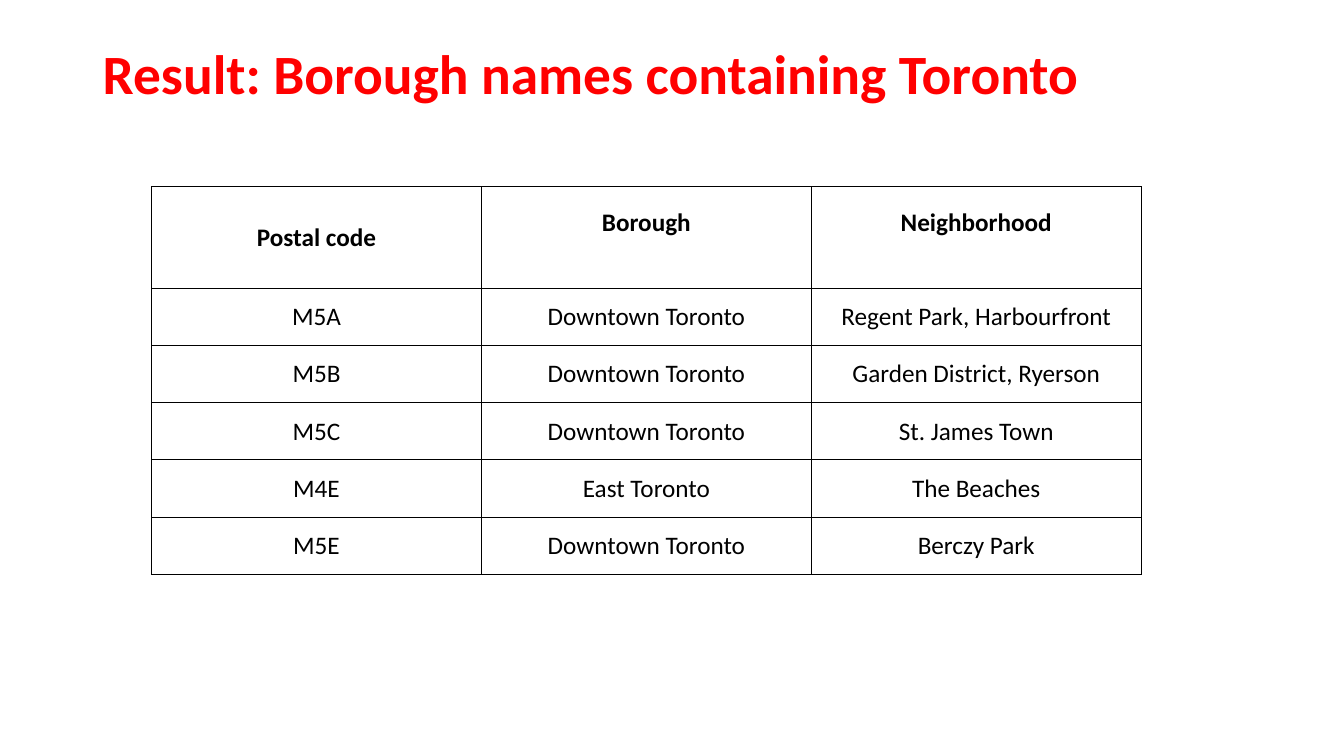
import pptx
import pptx.dml.color
import pptx.enum.text
import pptx.oxml
import pptx.oxml.ns
import pptx.util
from pptx.util import Cm, Pt

RED = pptx.dml.color.RGBColor(0xFF, 0x00, 0x00)
BLACK = pptx.dml.color.RGBColor(0x00, 0x00, 0x00)
FONT = "Calibri"
MIDDLE = pptx.enum.text.MSO_ANCHOR.MIDDLE

HEADINGS = ("Postal code", "Borough", "Neighborhood")
BOROUGHS = (
    ("M5A", "Downtown Toronto", "Regent Park, Harbourfront"),
    ("M5B", "Downtown Toronto", "Garden District, Ryerson"),
    ("M5C", "Downtown Toronto", "St. James Town"),
    ("M4E", "East Toronto", "The Beaches"),
    ("M5E", "Downtown Toronto", "Berczy Park"),
)


def add_run(paragraph, wording, size, color, bold):
    run = paragraph.add_run()
    run.text = wording
    run.font.name = FONT
    run.font.size = Pt(size)
    run.font.bold = bold
    run.font.color.rgb = color


def add_heading(slide, left, top, width, height):
    heading = slide.shapes.add_textbox(left, top, width, height).text_frame
    heading.word_wrap = True
    heading.vertical_anchor = MIDDLE
    heading.paragraphs[0].line_spacing = 0.9
    add_run(heading.paragraphs[0], "Result: Borough names containing Toronto", 39.6, RED, True)


def add_borders(cell):
    properties = cell._tc.get_or_add_tcPr()
    for position, side in enumerate(("lnL", "lnR", "lnT", "lnB")):
        border = pptx.oxml.parse_xml(
            f'<a:{side} {pptx.oxml.ns.nsdecls("a")} w="{Pt(0.75)}">'
            f'<a:solidFill><a:srgbClr val="{BLACK}"/></a:solidFill></a:{side}>'
        )
        properties.insert(position, border)


def fill_cell(cell, wording, bold, bottom_margin):
    cell.fill.background()
    cell.vertical_anchor = MIDDLE
    cell.margin_left = cell.margin_right = cell.margin_top = Cm(0.1)
    cell.margin_bottom = bottom_margin
    paragraph = cell.text_frame.paragraphs[0]
    paragraph.alignment = pptx.enum.text.PP_ALIGN.CENTER
    add_run(paragraph, wording, 18, BLACK, bold)
    add_borders(cell)


def add_borough_table(slide, left, top, width, height):
    rows = (HEADINGS, *BOROUGHS)
    table = slide.shapes.add_table(len(rows), len(HEADINGS), left, top, width, height).table
    table.horz_banding = False
    borough_height = Cm(1.44)
    for row in table.rows:
        row.height = borough_height
    table.rows[0].height = height - borough_height * len(BOROUGHS)
    for r, row in enumerate(rows):
        for c, wording in enumerate(row):
            raised = r == 0 and c > 0
            fill_cell(table.cell(r, c), wording, r == 0, Cm(0.86 if raised else 0.1))


presentation = pptx.Presentation()
presentation.slide_width = Cm(33.87)
presentation.slide_height = Cm(19.05)
slide = presentation.slides.add_slide(presentation.slide_layouts[6])
add_heading(slide, Cm(2.34), Cm(0.8), Cm(29.21), Cm(2.26))
add_borough_table(slide, Cm(3.82), Cm(4.7), Cm(24.94), Cm(9.77))
presentation.save("out.pptx")
